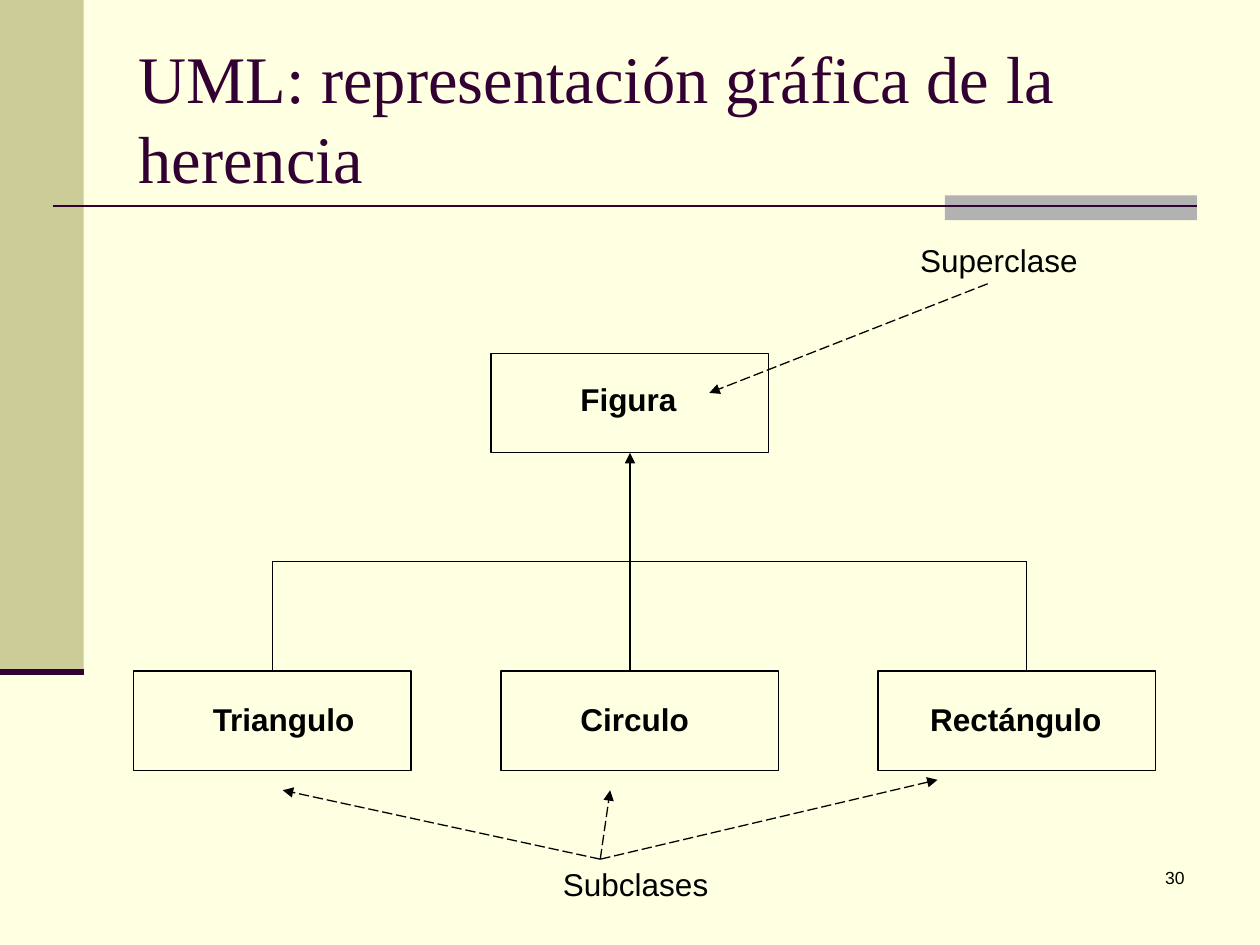
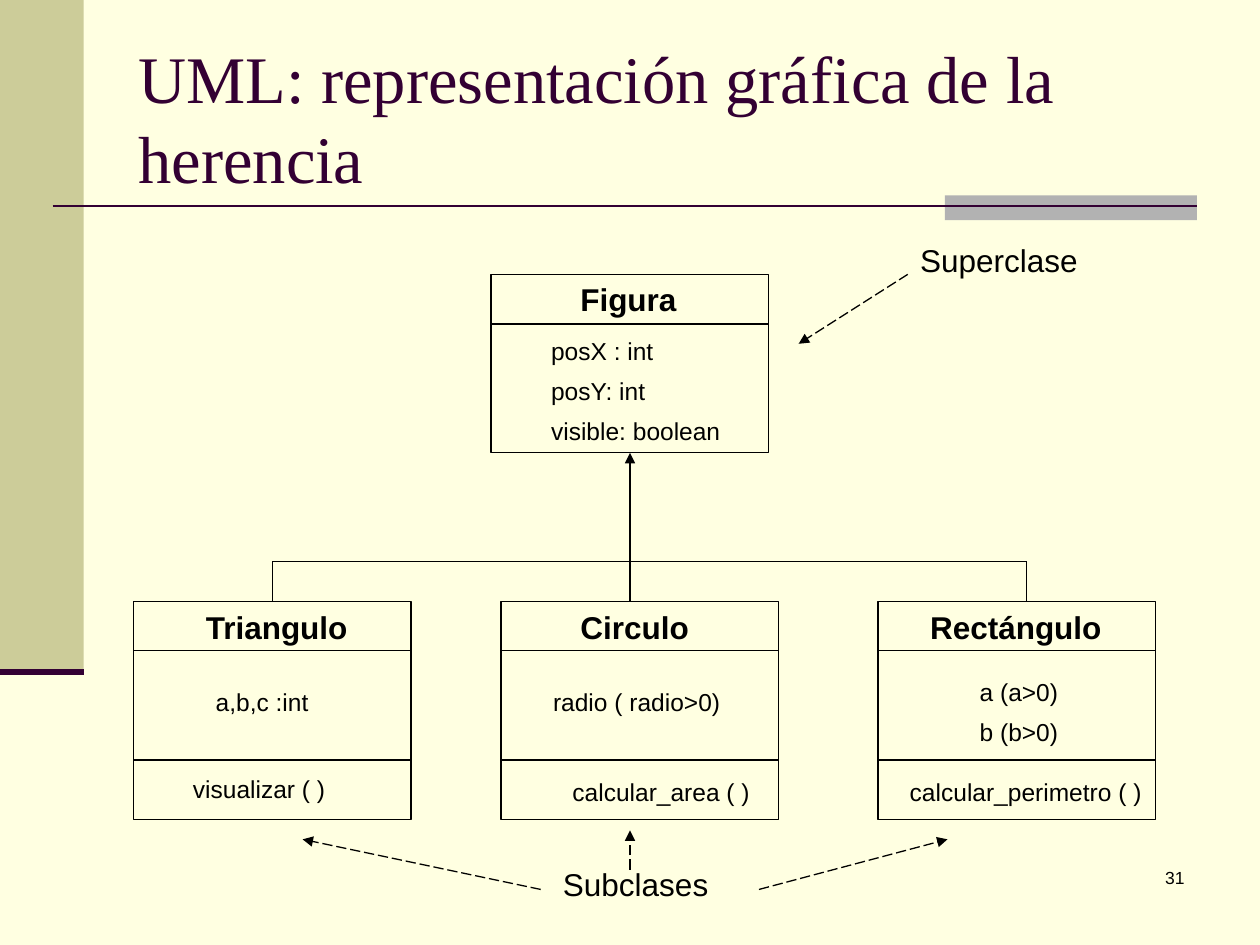
from dataclasses import dataclass

from lxml import etree
from pptx import Presentation
from pptx.dml.color import RGBColor
from pptx.enum.dml import MSO_LINE
from pptx.enum.shapes import MSO_CONNECTOR, MSO_SHAPE
from pptx.enum.text import MSO_ANCHOR, MSO_AUTO_SIZE, PP_ALIGN
from pptx.oxml.ns import qn
from pptx.util import Cm, Pt

RECTANGLE = MSO_SHAPE.RECTANGLE
STRAIGHT = MSO_CONNECTOR.STRAIGHT
LONG_DASH = MSO_LINE.LONG_DASH
LEFT, RIGHT = PP_ALIGN.LEFT, PP_ALIGN.RIGHT
TOP, MIDDLE = MSO_ANCHOR.TOP, MSO_ANCHOR.MIDDLE
FIXED = MSO_AUTO_SIZE.NONE


@dataclass(frozen=True)
class Theme:
    background: str = "FFFFE1"
    side_band: str = "CCCC99"
    title_bar: str = "B2B2B2"
    accent: str = "330033"
    ink: str = "000000"
    title_font: str = "Times New Roman"
    body_font: str = "Arial"
    title_size: float = 38
    label_size: float = 18
    member_size: float = 14
    number_size: float = 10
    thin: float = 0.75
    rule: float = 1.5
    thick: float = 3.5


THEME = Theme()

# All lengths below are centimetres.
TITLE = "UML: representación gráfica de la herencia"
BOX_WIDTH = 5.6
PARENT_LEFT, PARENT_BOTTOM, TRUNK_X = 9.9, 9.13, 12.7
BUS_Y = 11.32
HEADER_HEIGHT = 1.0
OPERATIONS_OFFSET = 3.2
LABEL_HEIGHT, MEMBER_HEIGHT, MEMBER_PITCH = 1.02, 0.86, 0.81

CHILD_LEFTS = [2.69, 10.1, 17.7]
STEM_XS = [5.49, TRUNK_X, 20.7]

# Labels: text, left, top, width (class names take their top from the slide)
PARENT_NAME = ("Figura", 11.45, 2.7)
SUPERCLASS_LABEL = ("Superclase", 18.3, 4.74, 3.9)
SUBCLASS_LABEL = ("Subclases", 11.1, 17.32, 3.7)

SLIDES = [
    {
        "number": "30",
        "parent_top": 7.13,
        "parent_name_top": 7.54,
        "child_top": 13.53,
        "child_height": 2.0,
        "child_name_top": 13.98,
        "child_names": [("Triangulo", 4.04, 3.7), ("Circulo", 11.45, 2.9),
                        ("Rectángulo", 18.5, 4.2)],
        "has_members": False,
        "members": [],
        "pointers": [
            ((19.91, 5.72), (14.3, 7.92)),
            ((12.1, 17.32), (18.9, 15.72)),
            ((12.1, 17.32), (12.3, 15.93)),
            ((12.1, 17.32), (5.7, 15.93)),
        ],
    },
    {
        "number": "31",
        "parent_top": 5.53,
        "parent_name_top": 5.53,
        "child_top": 12.12,
        "child_height": 4.4,
        "child_name_top": 12.13,
        "child_names": [("Triangulo", 3.9, 3.7), ("Circulo", 11.45, 2.9),
                        ("Rectángulo", 18.5, 4.2)],
        "has_members": True,
        # left, top, width, then the lines of each compartment
        "members": [
            (10.86, 6.65, 4.3, ["posX : int", "posY: int", "visible: boolean"]),
            (4.1, 13.72, 2.8, ["a,b,c :int"]),
            (3.64, 15.47, 3.5, ["visualizar ( )"]),
            (10.9, 13.72, 4.2, ["radio ( radio>0)"]),
            (11.29, 15.53, 4.4, ["calcular_area ( )"]),
            (19.5, 13.52, 2.5, ["a (a>0)", "b (b>0)"]),
            (18.09, 15.53, 5.5, ["calcular_perimetro ( )"]),
        ],
        "pointers": [
            ((18.3, 5.53), (16.1, 6.93)),
            ((15.3, 17.93), (19.1, 16.92)),
            ((10.9, 17.93), (6.1, 16.92)),
            ((12.7, 17.53), (12.7, 16.74)),
        ],
    },
]


def add_text(slide, text, left, top, width, height, *, size=THEME.label_size,
             font=THEME.body_font, color=THEME.ink, bold=False, align=LEFT,
             anchor=TOP):
    shape = slide.shapes.add_textbox(Cm(left), Cm(top), Cm(width), Cm(height))
    frame = shape.text_frame
    frame.word_wrap = True
    frame.auto_size = FIXED
    frame.vertical_anchor = anchor
    paragraph = frame.paragraphs[0]
    paragraph.alignment = align
    run = paragraph.add_run()
    run.text = text
    run.font.name = font
    run.font.size = Pt(size)
    run.font.bold = bold
    run.font.color.rgb = RGBColor.from_string(color)


def add_rectangle(slide, left, top, width, height, fill=None):
    """Draw a filled band, or an outlined box when no fill is given."""
    shape = slide.shapes.add_shape(RECTANGLE, Cm(left), Cm(top), Cm(width), Cm(height))
    shape.shadow.inherit = False
    if fill:
        shape.fill.solid()
        shape.fill.fore_color.rgb = RGBColor.from_string(fill)
        shape.line.fill.background()
    else:
        shape.fill.background()
        shape.line.color.rgb = RGBColor.from_string(THEME.ink)
        shape.line.width = Pt(THEME.thin)


def add_line(slide, start, end, *, color=THEME.ink, width=THEME.thin,
             dashed=False, arrow=False):
    connector = slide.shapes.add_connector(STRAIGHT, *map(Cm, start + end))
    line = connector.line
    line.color.rgb = RGBColor.from_string(color)
    line.width = Pt(width)
    if dashed:
        line.dash_style = LONG_DASH
    properties = connector._element.spPr
    if arrow:
        outline = properties.find(qn("a:ln"))
        etree.SubElement(outline, qn("a:tailEnd"), type="triangle")
    etree.SubElement(properties, qn("a:effectLst"))


def add_frame(slide, number):
    """Draw the background, bands, title and page number every slide shares."""
    slide.background.fill.solid()
    slide.background.fill.fore_color.rgb = RGBColor.from_string(THEME.background)
    add_rectangle(slide, 0, 0, 1.69, 13.55, THEME.side_band)
    add_rectangle(slide, 19.05, 3.94, 5.08, 0.5, THEME.title_bar)
    add_line(slide, (1.06, 4.15), (24.13, 4.15), color=THEME.accent, width=THEME.rule)
    add_line(slide, (0, 13.55), (1.69, 13.55), color=THEME.accent, width=THEME.thick)
    add_text(slide, number, 18.85, 17.35, 5.28, 1.27, size=THEME.number_size,
             align=RIGHT)
    add_text(slide, TITLE, 2.54, 0.76, 21.59, 3.18, size=THEME.title_size,
             font=THEME.title_font, color=THEME.accent, anchor=MIDDLE)


def add_class_box(slide, left, top, height, name, name_top, divider_offsets):
    text, name_left, name_width = name
    add_rectangle(slide, left, top, BOX_WIDTH, height)
    add_text(slide, text, name_left, name_top, name_width, LABEL_HEIGHT, bold=True)
    for offset in divider_offsets:
        add_line(slide, (left, top + offset), (left + BOX_WIDTH, top + offset))


def add_inheritance_tree(slide, child_top):
    add_line(slide, (STEM_XS[0], BUS_Y), (STEM_XS[-1], BUS_Y))
    for stem_x in STEM_XS:
        add_line(slide, (stem_x, BUS_Y), (stem_x, child_top))
    add_line(slide, (TRUNK_X, BUS_Y), (TRUNK_X, PARENT_BOTTOM), arrow=True)


def add_diagram(slide, content):
    dividers = [HEADER_HEIGHT, OPERATIONS_OFFSET] if content["has_members"] else []
    parent_top, child_top = content["parent_top"], content["child_top"]
    add_class_box(slide, PARENT_LEFT, parent_top, PARENT_BOTTOM - parent_top,
                  PARENT_NAME, content["parent_name_top"], dividers[:1])
    for left, name in zip(CHILD_LEFTS, content["child_names"]):
        add_class_box(slide, left, child_top, content["child_height"], name,
                      content["child_name_top"], dividers)
    add_inheritance_tree(slide, child_top)
    for label in (SUPERCLASS_LABEL, SUBCLASS_LABEL):
        add_text(slide, *label, LABEL_HEIGHT)
    for left, top, width, lines in content["members"]:
        for row, text in enumerate(lines):
            add_text(slide, text, left, top + row * MEMBER_PITCH, width,
                     MEMBER_HEIGHT, size=THEME.member_size)
    for start, end in content["pointers"]:
        add_line(slide, start, end, dashed=True, arrow=True)


def main():
    presentation = Presentation()
    presentation.slide_width, presentation.slide_height = Cm(25.4), Cm(19.05)
    blank_layout = presentation.slide_layouts[6]
    for content in SLIDES:
        slide = presentation.slides.add_slide(blank_layout)
        add_frame(slide, content["number"])
        add_diagram(slide, content)
    presentation.save("out.pptx")


if __name__ == "__main__":
    main()
